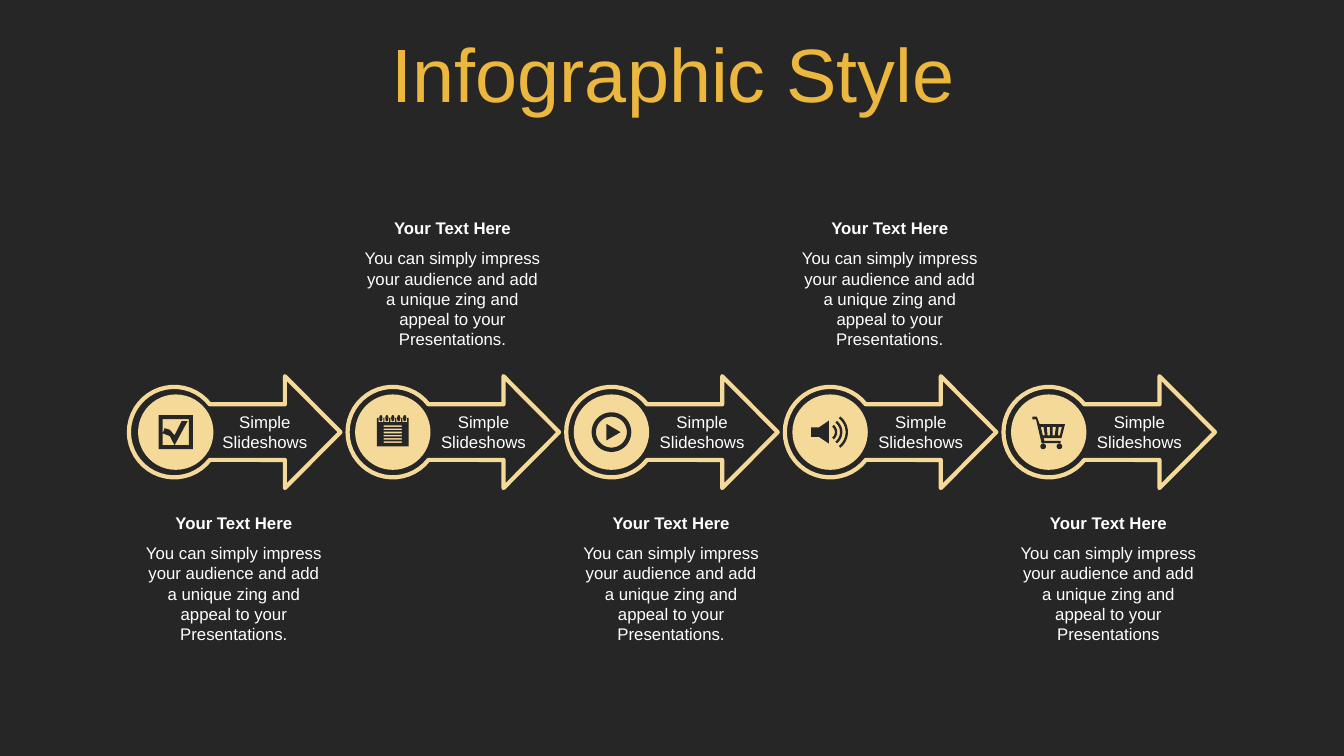
import math

import pptx
import pptx.util
import pptx.dml.color
import pptx.enum.shapes
import pptx.enum.text

Cm = pptx.util.Cm
HUES = {"dark": "262626", "sand": "F5D999", "gold": "ECB73E", "white": "FFFFFF"}
BODY = ("You can simply impress your audience and add a unique zing "
        "and appeal to your Presentations")


def tint(name):
    return pptx.dml.color.RGBColor.from_string(HUES[name])


def arc(r, start, end, x=0, y=0, tall=None, steps=36):
    turns = [math.radians(start + (end - start) * i / steps) for i in range(steps + 1)]
    return [(x + r * math.cos(t), y + (tall or r) * math.sin(t)) for t in turns]


def box(left, top, right, bottom):
    return [(left, top), (right, top), (right, bottom), (left, bottom)]


def check():
    tick = [(-.33, .03), (-.28, -.1), (-.15, -.06), (-.03, .08),
            (.15, -.28), (.3, -.28), (-.03, .33), (-.15, .1)]
    return [box(-.43, -.43, .43, .43), box(-.33, -.33, .33, .33), tick]


def notepad():
    parts = [box(-.4, -.36, .4, .36)]
    parts += [box(-.23, -.17 + .08 * i, .23, -.13 + .08 * i) for i in range(6)]
    for i in range(5):
        x = -.3 + .15 * i
        parts += [box(x - .06, -.36, x + .06, -.25),
                  arc(.04, 0, 360, x, -.35, .08)]
    return parts


def play():
    return [arc(.5, 0, 360), arc(.39, 0, 360), [(-.13, -.21), (.23, 0), (-.13, .21)]]


def speaker():
    horn = [(-.03, -.29), (-.03, .29), (-.28, .12), (-.48, .12), (-.48, -.12), (-.28, -.12)]
    waves = [arc(r, -52, 52, -.05) + arc(r - .06, 52, -52, -.05) for r in (.23, .36, .5)]
    return [horn] + waves


def cart():
    frame = [(-.41, -.39), (-.3, -.39), (-.23, -.2), (.41, -.2), (.32, .15), (-.13, .15),
             (-.11, .22), (.3, .22), (.3, .28), (-.18, .28), (-.32, -.32), (-.41, -.32)]
    slots = [(-.2, -.15, -.1, -.13), (-.05, -.03, .03, .03),
             (.1, .1, .15, .18), (.25, .23, .28, .33)]
    holes = [list(zip(xs, (-.13, .08, .08, -.13))) for xs in slots]
    wheels = [arc(.07, 0, 360, x, .36) for x in (-.14, .27)]
    return [frame] + holes + wheels


class Deck:
    """Holds the style and the current slide, and draws each kind of element."""

    def __init__(self, font="Arial", size=12):
        self.font, self.size = font, size
        self.show = pptx.Presentation()
        self.show.slide_width, self.show.slide_height = Cm(33.87), Cm(19.05)
        self.slide = self.show.slides.add_slide(self.show.slide_layouts[5])
        fill = self.slide.background.fill
        fill.solid()
        fill.fore_color.rgb = tint("dark")

    def label(self, shape, words, hue="white", size=None, bold=False, middle=False):
        frame = shape.text_frame
        frame.word_wrap = True
        frame.auto_size = pptx.enum.text.MSO_AUTO_SIZE.NONE
        anchor = pptx.enum.text.MSO_ANCHOR
        frame.vertical_anchor = anchor.MIDDLE if middle else anchor.TOP
        line = frame.paragraphs[0]
        line.alignment = pptx.enum.text.PP_ALIGN.CENTER
        run = line.add_run()
        run.text = words
        run.font.name, run.font.bold = self.font, bold
        run.font.size = pptx.util.Pt(size or self.size)
        run.font.color.rgb = tint(hue)
        return line

    def title(self, words):
        shape = self.slide.shapes.title
        shape.left, shape.top, shape.width, shape.height = map(Cm, (.89, .79, 32.16, 2.34))
        self.label(shape, words, "gold", 54, middle=True).line_spacing = .9

    def text(self, words, left, top, width, height, **style):
        shape = self.slide.shapes.add_textbox(*map(Cm, (left, top, width, height)))
        self.label(shape, words, **style)

    def paint(self, shape, hue, edge=None):
        shape.shadow.inherit = False
        shape.fill.solid()
        shape.fill.fore_color.rgb = tint(hue)
        if edge:
            shape.line.color.rgb = tint(edge)
            shape.line.width = pptx.util.Pt(3)
        else:
            shape.line.fill.background()

    def disc(self, x, y, r):
        oval = pptx.enum.shapes.MSO_SHAPE.OVAL
        spot = map(Cm, (x - r, y - r, 2 * r, 2 * r))
        self.paint(self.slide.shapes.add_shape(oval, *spot), "sand")

    def form(self, x, y, parts, hue, edge=None):
        pen = None
        for part in parts:
            first, *rest = [(Cm(x + dx), Cm(y + dy)) for dx, dy in part]
            if pen is None:
                pen = self.slide.shapes.build_freeform(*first)
            else:
                pen.move_to(*first)
            pen.add_line_segments(rest, close=True)
        self.paint(pen.convert_to_shape(), hue, edge)


def main():
    deck = Deck()
    deck.title("Infographic Style")
    y = 10.89
    bend = math.degrees(math.atan2(.7, .9))
    arrow = [(2.79, -1.41), (4.19, 0), (2.79, 1.41), (2.79, .7)]
    arrow += arc(1.14, bend, 360 - bend) + [(2.79, -.7)]
    icons = [check, notepad, play, speaker, cart]
    for i, icon in enumerate(icons):
        x = 4.39 + 5.51 * i
        shift = 0 if i else .04
        deck.form(x, y, [arrow], "dark", "sand")
        deck.disc(x + shift, y, .95)
        deck.form(x + shift, y, icon(), "dark")
        deck.text("Simple Slideshows", x + .94, 10.24, 2.69, 1.27, middle=True)
        top = 5.36 if i % 2 else 12.79
        stop = "" if icon is cart else "."
        deck.text("Your Text Here", x - 1.02, top, 5.05, .77, bold=True)
        deck.text(BODY + stop, x - 1.02, top + .77, 5.05, 2.82)
    deck.show.save("out.pptx")


if __name__ == "__main__":
    main()
